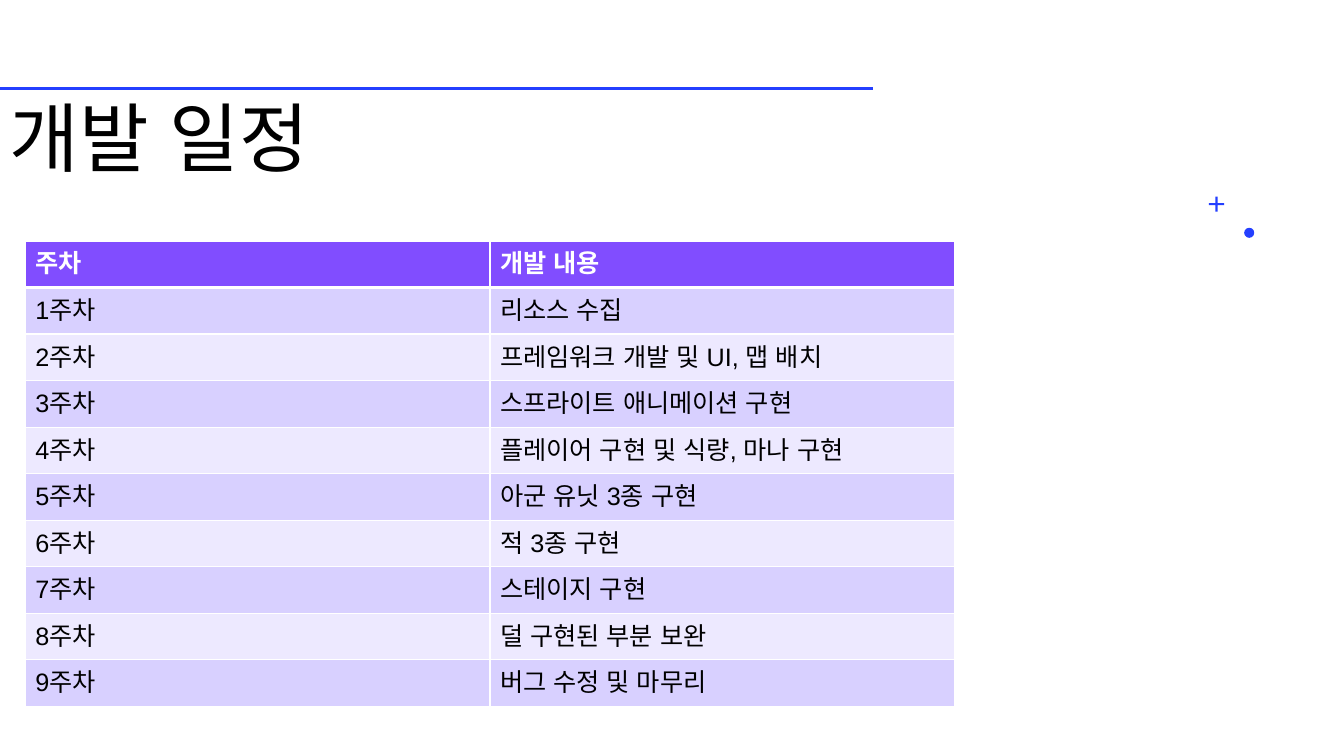
"""Build the development schedule slide."""
from lxml.etree import SubElement
from pptx import Presentation
from pptx.dml.color import RGBColor
from pptx.enum.shapes import MSO_CONNECTOR, MSO_SHAPE
from pptx.enum.text import MSO_ANCHOR
from pptx.oxml import parse_xml
from pptx.oxml.ns import nsdecls, qn
from pptx.util import Inches, Pt

TITLE = "개발 일정"
SCHEDULE_HEADER = ("주차", "개발 내용")
WEEKLY_TASKS = [
    "리소스 수집",
    "프레임워크 개발 및 UI, 맵 배치",
    "스프라이트 애니메이션 구현",
    "플레이어 구현 및 식량, 마나 구현",
    "아군 유닛 3종 구현",
    "적 3종 구현",
    "스테이지 구현",
    "덜 구현된 부분 보완",
    "버그 수정 및 마무리",
]
ORNAMENTS = [
    (MSO_SHAPE.OVAL, 12.34, 2.26, 0.1),
    (MSO_SHAPE.CROSS, 11.99, 1.95, 0.15),
]

BODY_FONT = "Arial"
TITLE_FONT = "Noto Sans CJK KR"
BLUE = RGBColor(0x24, 0x3F, 0xFF)
PURPLE = RGBColor(0x81, 0x4D, 0xFF)
LILAC = RGBColor(0xD8, 0xD0, 0xFF)
PALE_LILAC = RGBColor(0xED, 0xE9, 0xFF)
WHITE = RGBColor(0xFF, 0xFF, 0xFF)
BLACK = RGBColor(0, 0, 0)

COLUMN_WIDTH = 4.61
SCHEDULE_HEIGHT = 4.62


def write(frame, text, size=18, color=BLACK, font=BODY_FONT, bold=False, spacing=1.0):
    paragraph = frame.paragraphs[0]
    paragraph.line_spacing = spacing
    run = paragraph.add_run()
    run.text = text
    run.font.size = Pt(size)
    run.font.bold = bold
    run.font.color.rgb = color
    run.font.name = font
    SubElement(run.font._element, qn("a:ea"), typeface=BODY_FONT)


def set_borders(cell, **widths):
    properties = cell._tc.get_or_add_tcPr()
    for position, side in enumerate("LRTB"):
        width = Pt(widths.get(side, 1))
        properties.insert(position, parse_xml(
            f'<a:ln{side} {nsdecls("a")} w="{width}"><a:solidFill>'
            f'<a:srgbClr val="{WHITE}"/></a:solidFill></a:ln{side}>'))


def add_decoration(slide):
    rule = slide.shapes.add_connector(
        MSO_CONNECTOR.STRAIGHT, 0, Inches(0.88), Inches(8.66), Inches(0.88))
    rule.line.color.rgb = BLUE
    rule.line.width = Pt(2)
    SubElement(rule._element.spPr, qn("a:effectLst"))
    for kind, left, top, size in ORNAMENTS:
        ornament = slide.shapes.add_shape(
            kind, Inches(left), Inches(top), Inches(size), Inches(size))
        ornament.shadow.inherit = False
        ornament.fill.solid()
        ornament.fill.fore_color.rgb = BLUE
        ornament.line.fill.background()
        if kind == MSO_SHAPE.CROSS:
            ornament.adjustments[0] = 0.43


def add_title(slide):
    title = slide.shapes.add_textbox(0, Inches(0.57), Inches(6.77), Inches(1.29))
    title.text_frame.word_wrap = True
    title.text_frame.vertical_anchor = MSO_ANCHOR.BOTTOM
    write(title.text_frame, TITLE, size=54, font=TITLE_FONT, spacing=0.9)


def add_schedule(slide):
    weeks = [(f"{week}주차", task) for week, task in enumerate(WEEKLY_TASKS, 1)]
    rows = [SCHEDULE_HEADER, *weeks]
    columns = len(SCHEDULE_HEADER)
    schedule = slide.shapes.add_table(
        len(rows), columns, Inches(0.25), Inches(2.39),
        Inches(columns * COLUMN_WIDTH), Inches(SCHEDULE_HEIGHT)).table
    for column in schedule.columns:
        column.width = Inches(COLUMN_WIDTH)
    for number, row in enumerate(rows):
        header = number == 0
        band = PURPLE if header else LILAC if number % 2 else PALE_LILAC
        for column, text in enumerate(row):
            cell = schedule.cell(number, column)
            cell.vertical_anchor = MSO_ANCHOR.MIDDLE
            cell.fill.solid()
            cell.fill.fore_color.rgb = band
            set_borders(cell, T=3 if number == 1 else 1, B=3 if header else 1)
            write(cell.text_frame, text, color=WHITE if header else BLACK, bold=header)


def main():
    presentation = Presentation()
    presentation.slide_width = Inches(13.33)
    presentation.slide_height = Inches(7.5)
    slide = presentation.slides.add_slide(presentation.slide_layouts[6])
    add_decoration(slide)
    add_title(slide)
    add_schedule(slide)
    presentation.save("out.pptx")


if __name__ == "__main__":
    main()
